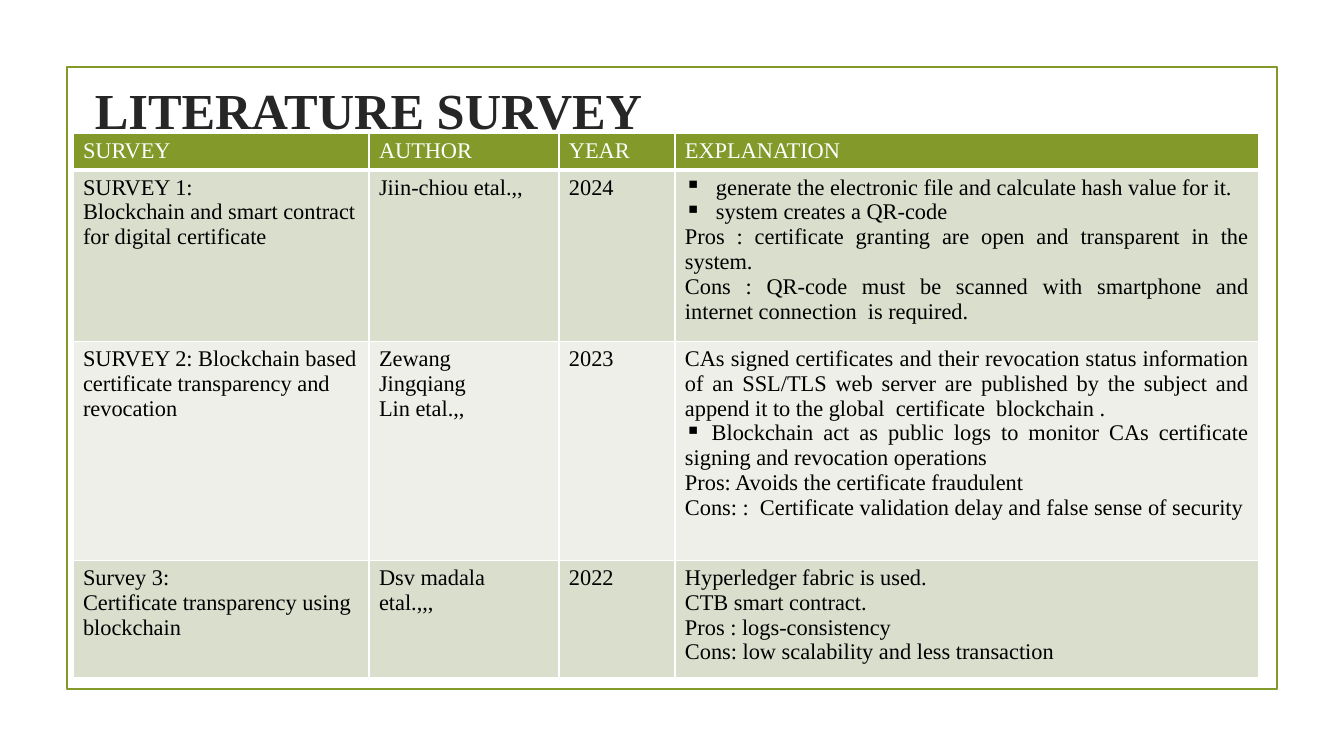
from lxml import etree
from pptx import Presentation
from pptx.dml.color import RGBColor
from pptx.enum.shapes import MSO_SHAPE as Shape
from pptx.enum.text import MSO_ANCHOR as Anchor, PP_ALIGN as Align
from pptx.oxml.ns import qn
from pptx.util import Emu, Pt

# Content: each cell is a list of (kind, text) paragraphs
TITLE = "LITERATURE SURVEY"
FONT = "Times New Roman"
GREEN, WHITE, BLACK, DARK = "83992A", "FFFFFF", "000000", "262626"
BANDS = ["D9DECD", "EDEFE8"]
LEFT, JUSTIFY, LIST, INLINE = "left", "justify", "list", "inline"

HEADINGS = ["SURVEY", "AUTHOR", "YEAR", "EXPLANATION"]
SURVEYS = [
    [
        [(LEFT, "SURVEY 1:"),
         (LEFT, "Blockchain and smart contract for digital certificate")],
        [(LEFT, "Jiin-chiou etal.,,")],
        [(LEFT, "2024")],
        [(LIST, "generate the electronic file and calculate hash value for it."),
         (LIST, "system creates a QR-code"),
         (JUSTIFY, "Pros : certificate granting are open and transparent in the system."),
         (JUSTIFY, "Cons : QR-code must be scanned with smartphone and "
                   "internet connection  is required.")],
    ],
    [
        [(LEFT, "SURVEY 2: Blockchain based certificate transparency and revocation")],
        [(LEFT, "Zewang"), (LEFT, "Jingqiang"), (LEFT, "Lin etal.,,")],
        [(LEFT, "2023")],
        [(JUSTIFY, "CAs signed certificates and their revocation status information "
                   "of an SSL/TLS web server are published by the subject and "
                   "append it to the global  certificate  blockchain ."),
         (INLINE, " Blockchain act as public logs to monitor CAs certificate "
                  "signing and revocation operations"),
         (JUSTIFY, "Pros: Avoids the certificate fraudulent"),
         (JUSTIFY, "Cons: :  Certificate validation delay and false sense of security")],
    ],
    [
        [(LEFT, "Survey 3:"), (LEFT, "Certificate transparency using blockchain")],
        [(LEFT, "Dsv madala"), (LEFT, "etal.,,,")],
        [(LEFT, "2022")],
        [(LEFT, "Hyperledger fabric is used."),
         (LEFT, "CTB smart contract."),
         (LEFT, "Pros : logs-consistency"),
         (LEFT, "Cons: low scalability and less transaction")],
    ],
]

# Layout in px
PAGE_SIZE = (1344, 756)
FRAME = (67, 67, 1210, 622)
TITLE_BOX = (85, 15, 778, 188)
TABLE_AT = (73, 133)
COLUMNS = [296, 190, 116, 584]
ROWS = [36, 167, 219, 114]
LIST_INDENT = 31


def px(length):
    return Emu(round(length * 914400 / 100.8))


def color(value):
    return RGBColor.from_string(value)


def set_font(para, size, value, bold=False):
    font = para.font
    font.name, font.size, font.bold = FONT, Pt(size), bold
    font.color.rgb = color(value)


def add_bullet(para, indent):
    props = para._p.get_or_add_pPr()
    props.set("marL", str(indent))
    props.set("indent", str(-indent))
    etree.SubElement(props, qn("a:buChar"), char="▪")


def add_border(cell, side, width):
    props = cell._tc.get_or_add_tcPr()
    line = etree.SubElement(props, qn(f"a:ln{side}"), w=str(Pt(width)))
    fill = etree.SubElement(line, qn("a:solidFill"))
    etree.SubElement(fill, qn("a:srgbClr"), val=WHITE)


def fill_cell(cell, content, text_color, back, bottom):
    for side, width in [("L", 1), ("R", 1), ("T", 1), ("B", bottom)]:
        add_border(cell, side, width)
    cell.fill.solid()
    cell.fill.fore_color.rgb = color(back)
    frame = cell.text_frame
    for index, (kind, text) in enumerate(content):
        para = frame.add_paragraph() if index else frame.paragraphs[0]
        para.text = text
        if kind in (JUSTIFY, INLINE):
            para.alignment = Align.JUSTIFY
        if kind in (LIST, INLINE):
            add_bullet(para, px(LIST_INDENT) if kind == LIST else 0)
        set_font(para, 16, text_color)


deck = Presentation()
deck.slide_width, deck.slide_height = map(px, PAGE_SIZE)
page = deck.slides.add_slide(deck.slide_layouts[6])

# Frame
border = page.shapes.add_shape(Shape.RECTANGLE, *map(px, FRAME))
border.shadow.inherit = False
border.fill.background()
border.line.color.rgb = color(GREEN)
border.line.width = Pt(1.25)

# Title
box = page.shapes.add_textbox(*map(px, TITLE_BOX))
box.text_frame.word_wrap = True
box.text_frame.vertical_anchor = Anchor.MIDDLE
heading = box.text_frame.paragraphs[0]
heading.text = TITLE
heading.alignment = Align.JUSTIFY
set_font(heading, 36, DARK, bold=True)

# Survey table
table = page.shapes.add_table(
    len(ROWS), len(COLUMNS), *map(px, TABLE_AT), px(sum(COLUMNS)), px(sum(ROWS))).table
for column, width in zip(table.columns, COLUMNS):
    column.width = px(width)
for row, height in zip(table.rows, ROWS):
    row.height = px(height)

for col, name in enumerate(HEADINGS):
    fill_cell(table.cell(0, col), [(LEFT, name)], WHITE, GREEN, bottom=3)
for number, survey in enumerate(SURVEYS):
    for col, content in enumerate(survey):
        fill_cell(table.cell(number + 1, col), content, BLACK,
                  BANDS[number % len(BANDS)], bottom=1)

deck.save("out.pptx")
